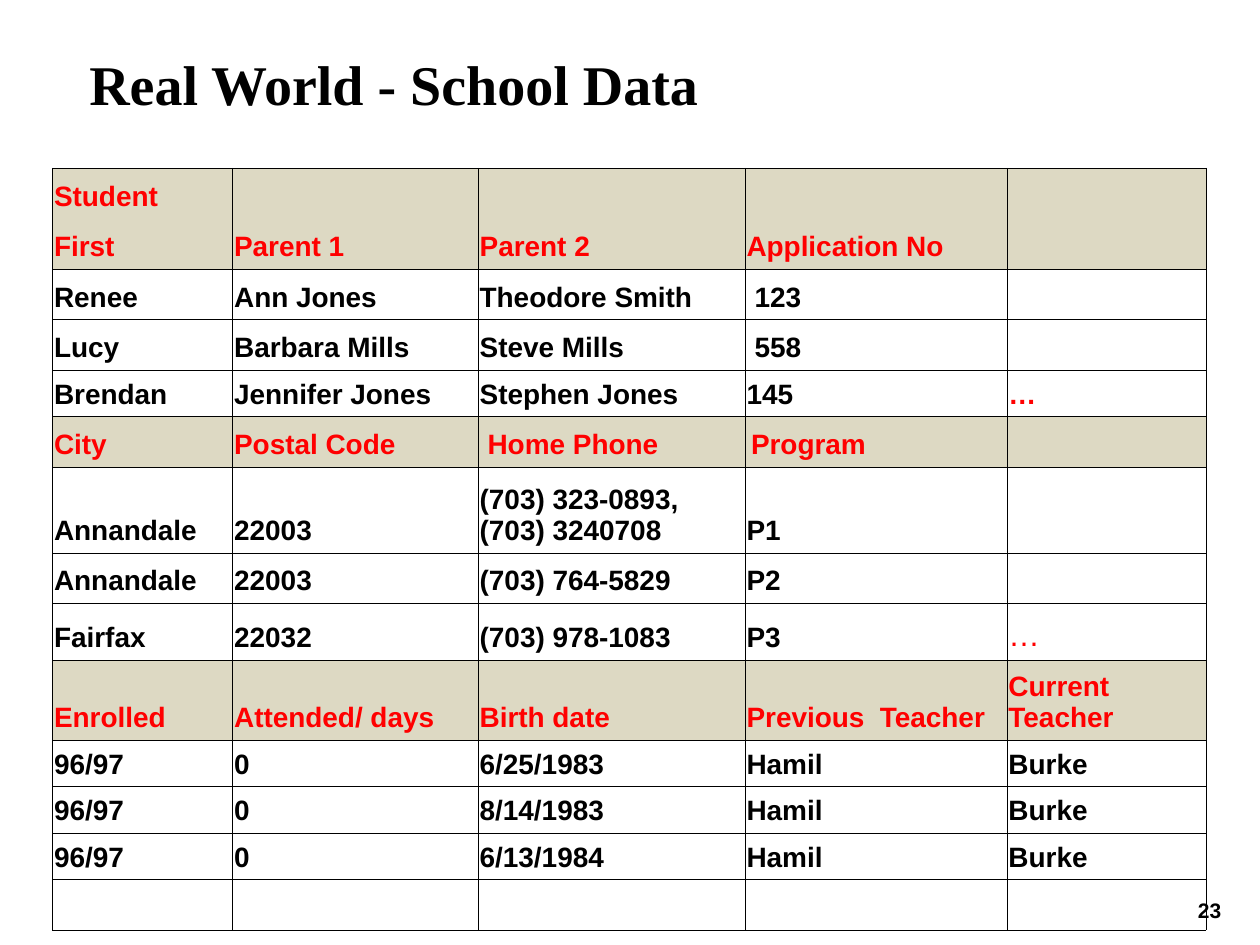
from lxml import etree
from pptx import Presentation
from pptx.dml.color import RGBColor
from pptx.enum.text import MSO_ANCHOR, PP_ALIGN
from pptx.oxml.ns import qn
from pptx.util import Cm, Pt

BOTTOM = MSO_ANCHOR.BOTTOM
TOP = MSO_ANCHOR.TOP
LEFT = PP_ALIGN.LEFT
CENTER = PP_ALIGN.CENTER

BLACK = "000000"
RED = "FF0000"
SAND = "DDD9C3"
PLAIN_STYLE = "{2D5ABB26-0587-4C30-8999-92F81FD0307C}"
THIN, THICK = 0.23, 0.45

COLUMN_WIDTHS = [3.63, 4.95, 5.38, 5.28, 4.01]
ROW_HEIGHTS = [0.84, 0.91, 0.89, 0.89, 0.89, 0.89, 1.73,
               0.89, 1.14, 1.37, 0.89, 0.89, 0.89, 0.71]
HEADING_ROWS = {0, 1, 5, 9}
INDENTS = {(2, 3): 0.19, (3, 3): 0.19, (5, 2): 0.19, (5, 3): 0.12}
SCHOOL_DATA = [
    ["Student", "", "", "", ""],
    ["First", "Parent 1", "Parent 2", "Application No", ""],
    ["Renee", "Ann Jones", "Theodore Smith", "123", ""],
    ["Lucy", "Barbara Mills", "Steve Mills", "558", ""],
    ["Brendan", "Jennifer Jones", "Stephen Jones", "145", "…"],
    ["City", "Postal Code", "Home Phone", "Program", ""],
    ["Annandale", "22003", "(703) 323-0893, (703) 3240708", "P1", ""],
    ["Annandale", "22003", "(703) 764-5829", "P2", ""],
    ["Fairfax", "22032", "(703) 978-1083", "P3", "…"],
    ["Enrolled", "Attended/ days", "Birth date", "Previous  Teacher", "Current\nTeacher"],
    ["96/97", "0", "6/25/1983", "Hamil", "Burke"],
    ["96/97", "0", "8/14/1983", "Hamil", "Burke"],
    ["96/97", "0", "6/13/1984", "Hamil", "Burke"],
    ["", "", "", "", ""],
]


def color(value):
    return RGBColor.from_string(value)


def set_font(paragraph, name, size, font_color, bold=True):
    font = paragraph.font
    font.name = name
    font.size = Pt(size)
    font.bold = bold
    font.color.rgb = color(font_color)


def set_borders(cell, row, column):
    last_row, last_column = len(ROW_HEIGHTS) - 1, len(COLUMN_WIDTHS) - 1
    borders = {
        "a:lnL": THICK if column == 0 else THIN,
        "a:lnR": THICK if column == last_column else THIN,
    }
    if row != 1:
        borders["a:lnT"] = THICK if row in (0, 2) else THIN
    if row != 0:
        borders["a:lnB"] = THICK if row in (1, last_row) else THIN
    properties = cell._tc.get_or_add_tcPr()
    for tag, width in borders.items():
        line = etree.SubElement(properties, qn(tag), w=str(Pt(width)))
        fill = etree.SubElement(line, qn("a:solidFill"))
        etree.SubElement(fill, qn("a:srgbClr"), val=BLACK)


def fill_cell(cell, row, column, text):
    set_borders(cell, row, column)
    if row in HEADING_ROWS:
        cell.fill.solid()
        cell.fill.fore_color.rgb = color(SAND)
    else:
        cell.fill.background()
    if not text:
        return
    cell.text = text
    cell.vertical_anchor = BOTTOM
    cell.margin_left = Cm(INDENTS.get((row, column), 0.03))
    cell.margin_right = Cm(0.03)
    cell.margin_top = cell.margin_bottom = Cm(0.13)
    light = (row, column) == (8, 4)
    text_color = RED if row in HEADING_ROWS or text == "…" else BLACK
    for paragraph in cell.text_frame.paragraphs:
        set_font(paragraph, "Arial", 18 if light else 16, text_color, not light)


def add_school_table(slide):
    frame = slide.shapes.add_table(
        len(ROW_HEIGHTS), len(COLUMN_WIDTHS), Cm(1.06), Cm(3.39),
        Cm(sum(COLUMN_WIDTHS)), Cm(sum(ROW_HEIGHTS)))
    table = frame.table
    table.first_row = False
    table.horz_banding = False
    table._tbl.tblPr.find(qn("a:tableStyleId")).text = PLAIN_STYLE
    for column, width in zip(table.columns, COLUMN_WIDTHS):
        column.width = Cm(width)
    for row, height in zip(table.rows, ROW_HEIGHTS):
        row.height = Cm(height)
    for row, texts in enumerate(SCHOOL_DATA):
        for column, text in enumerate(texts):
            fill_cell(table.cell(row, column), row, column, text)


def set_title(slide, text):
    title = slide.shapes.title
    title.left, title.top = Cm(1.8), Cm(0.84)
    title.width, title.height = Cm(21.06), Cm(2.62)
    text_frame = title.text_frame
    text_frame.text = text
    text_frame.vertical_anchor = TOP
    text_frame.margin_left = text_frame.margin_right = text_frame.margin_bottom = 0
    text_frame.margin_top = Cm(0.15)
    paragraph = text_frame.paragraphs[0]
    paragraph.alignment = LEFT
    set_font(paragraph, "Times New Roman", 32, BLACK)


def add_page_number(slide, text):
    box = slide.shapes.add_textbox(Cm(23.75), Cm(18.03), Cm(1.27), Cm(0.71))
    text_frame = box.text_frame
    text_frame.word_wrap = True
    text_frame.text = text
    paragraph = text_frame.paragraphs[0]
    paragraph.alignment = CENTER
    paragraph.line_spacing = 0.9
    set_font(paragraph, "Arial", 12, BLACK)


def main():
    presentation = Presentation()
    presentation.slide_width = Cm(25.4)
    presentation.slide_height = Cm(19.05)
    slide = presentation.slides.add_slide(presentation.slide_layouts[5])
    add_page_number(slide, "23")
    set_title(slide, "Real World - School Data")
    add_school_table(slide)
    presentation.save("out.pptx")


if __name__ == "__main__":
    main()
